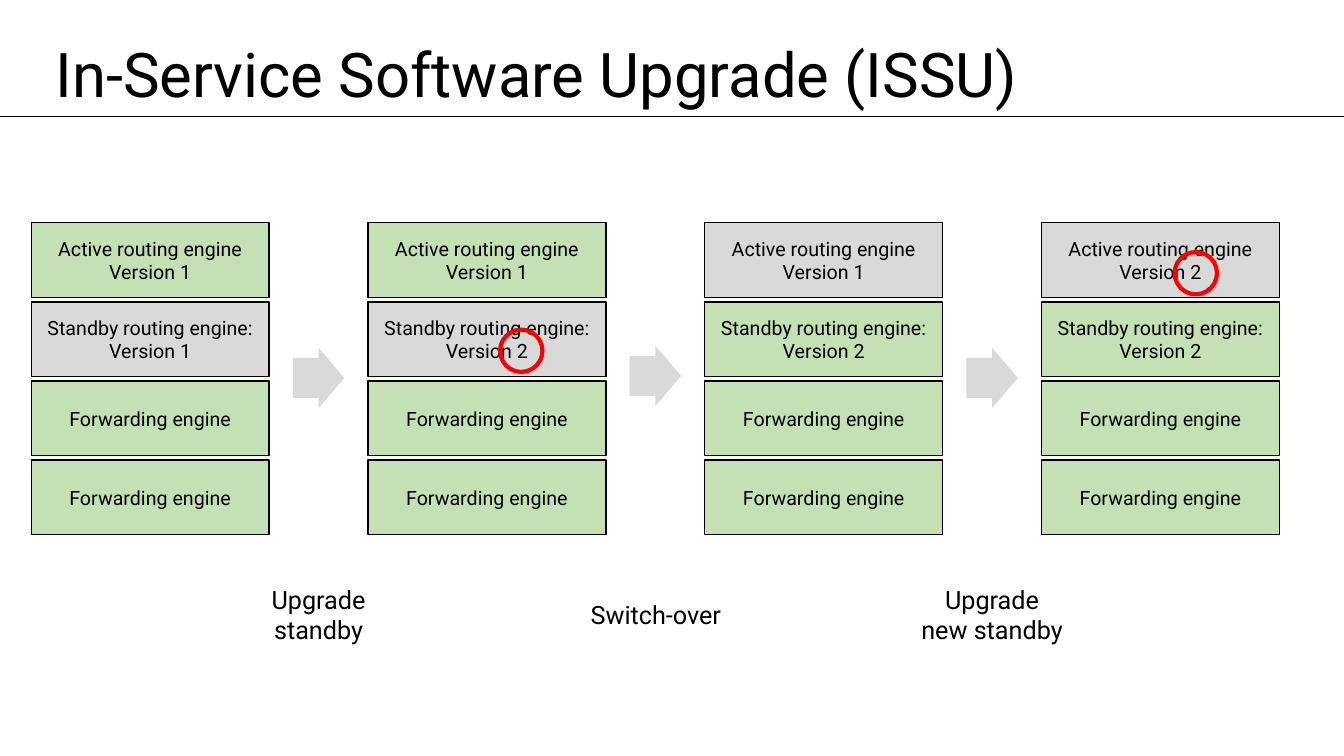
import pptx
import pptx.util
import pptx.dml.color
import pptx.enum.text
import pptx.enum.shapes
import pptx.oxml

RGB = pptx.dml.color.RGBColor
BLACK = RGB(0x00, 0x00, 0x00)
GREEN = RGB(0xC5, 0xE0, 0xB4)
GRAY = RGB(0xD9, 0xD9, 0xD9)
RED = RGB(0xFF, 0x00, 0x00)

Inches = pptx.util.Inches
Pt = pptx.util.Pt
Align = pptx.enum.text.PP_ALIGN
Anchor = pptx.enum.text.MSO_ANCHOR
Kind = pptx.enum.shapes.MSO_SHAPE

WIDE, HIGH = 13.33, 7.5
LEFT, TOP = 0.31, 2.21
COL, ROW = 3.34, 0.785
BOX_W, BOX_H = 2.36, 0.74
RING = 0.42

FRAME = {
    "word_wrap": True,
    "auto_size": pptx.enum.text.MSO_AUTO_SIZE.NONE,
    "vertical_anchor": Anchor.MIDDLE,
}
BARE = {"margin_left": 0, "margin_right": 0, "margin_top": 0, "margin_bottom": 0}

STAGES = [
    (1, 1, GREEN, GRAY),
    (1, 2, GREEN, GRAY),
    (1, 2, GRAY, GREEN),
    (2, 2, GRAY, GREEN),
]
ARROWS = [3.45, 3.43, 3.45]
RINGS = [(1, 1.31, 1.06), (3, 1.32, 0.29)]
LABELS = [
    (2.33, 1.66, "Upgrade\nstandby"),
    (4.61, 3.79, "Switch-over"),
    (9.01, 1.66, "Upgrade\nnew standby"),
]


def apply(item, values):
    for name, value in values.items():
        setattr(item, name, value)


def area(*sizes):
    return [Inches(size) for size in sizes]


def write(shape, text, size, align=Align.CENTER, frame=FRAME, space=1.0):
    body = shape.text_frame
    apply(body, frame)
    body.text = text
    for para in body.paragraphs:
        apply(para, {"alignment": align, "line_spacing": space})
        apply(para.font, {"name": "Roboto", "size": Pt(size)})
        para.font.color.rgb = BLACK


def draw(shapes, kind, place, fill=None, line=None, width=1):
    shape = shapes.add_shape(kind, *area(*place))
    shape.shadow.inherit = False
    if fill is None:
        shape.fill.background()
    else:
        shape.fill.solid()
        shape.fill.fore_color.rgb = fill
    if line is None:
        shape.line.fill.background()
    else:
        shape.line.color.rgb = line
        shape.line.width = Pt(width)
    return shape


def head(slide, text):
    title = slide.shapes.title
    left, top, width, height = area(0.45, 0.36, 12.39, 0.81)
    apply(title, {"left": left, "top": top, "width": width, "height": height})
    write(title, text, 44, Align.LEFT, space=0.9)
    rule = slide.shapes.add_connector(
        pptx.enum.shapes.MSO_CONNECTOR.STRAIGHT, *area(0, 1.15, WIDE, 1.15))
    rule.line.color.rgb = BLACK
    rule.line.width = Pt(0.5)
    rule._element.spPr.append(pptx.oxml.parse_xml(
        '<a:effectLst xmlns:a="http://schemas.openxmlformats.org/drawingml/2006/main"/>'))


def stack(slide, col, stage):
    active, standby, first, second = stage
    rows = [
        (f"Active routing engine\nVersion {active}", first),
        (f"Standby routing engine:\nVersion {standby}", second),
        ("Forwarding engine", GREEN),
        ("Forwarding engine", GREEN),
    ]
    group = slide.shapes.add_group_shape()
    for row, (text, fill) in enumerate(rows):
        place = (LEFT + col * COL, TOP + row * ROW, BOX_W, BOX_H)
        write(draw(group.shapes, Kind.RECTANGLE, place, fill, BLACK), text, 14)


def arrow(slide, col, top):
    width = 0.51
    left = LEFT + col * COL + (BOX_W + COL - width) / 2
    shape = draw(slide.shapes, Kind.RIGHT_ARROW, (left, top, width, 0.6), GRAY)
    shape.adjustments[0] = 0.66
    shape.adjustments[1] = 0.5


def ring(slide, col, right, down):
    place = (LEFT + col * COL + right, TOP + down, RING, RING)
    draw(slide.shapes, Kind.OVAL, place, line=RED, width=3)


def label(slide, left, width, text):
    box = slide.shapes.add_textbox(*area(left, 5.78, width, 0.63))
    write(box, text, 18, frame={**FRAME, **BARE})


def main():
    deck = pptx.Presentation()
    apply(deck, {"slide_width": Inches(WIDE), "slide_height": Inches(HIGH)})
    slide = deck.slides.add_slide(deck.slide_layouts[5])
    head(slide, "In-Service Software Upgrade (ISSU)")
    for col, stage in enumerate(STAGES):
        stack(slide, col, stage)
    for col, top in enumerate(ARROWS):
        arrow(slide, col, top)
    for spot in RINGS:
        ring(slide, *spot)
    for note in LABELS:
        label(slide, *note)
    deck.save("out.pptx")


if __name__ == "__main__":
    main()
